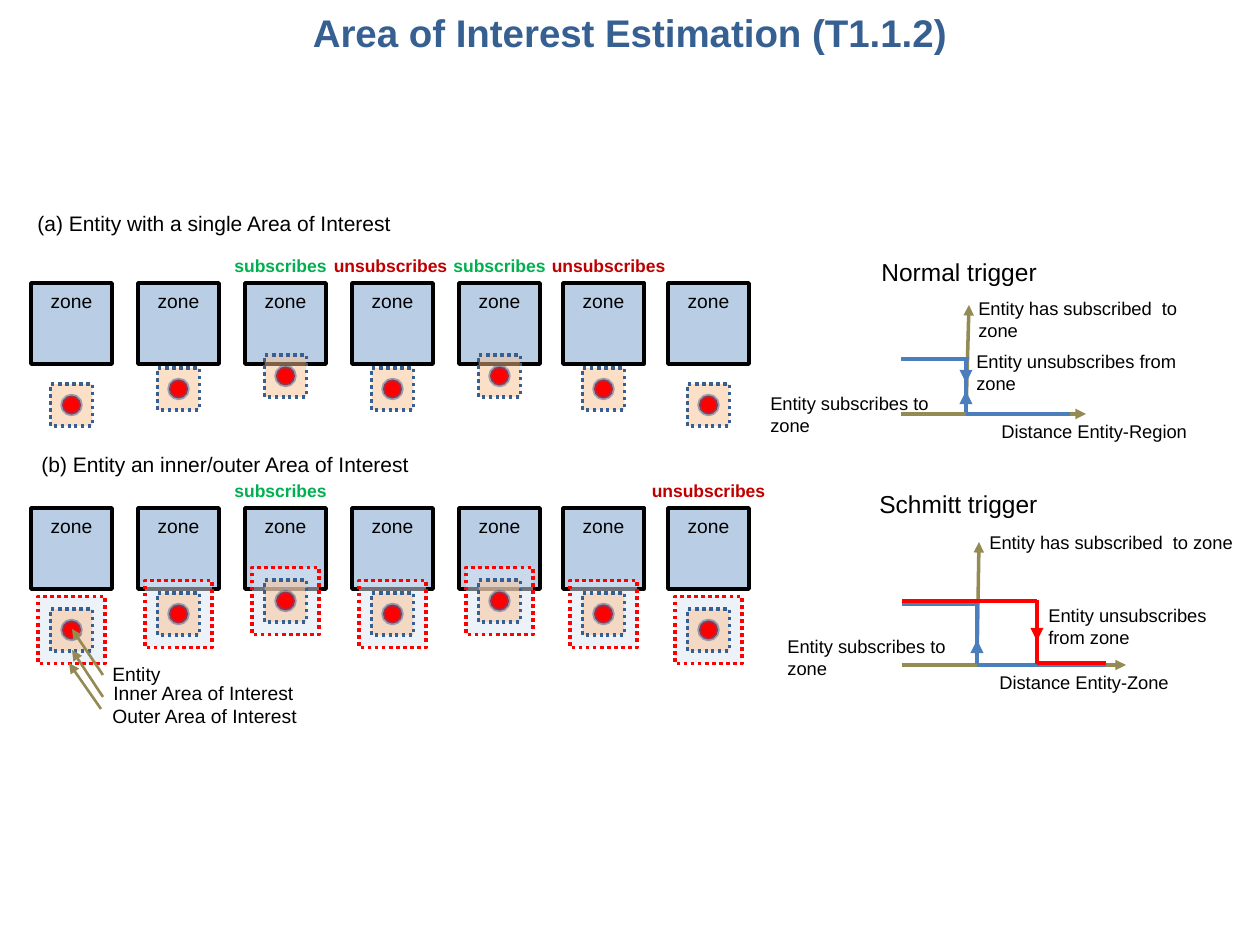
from lxml import etree
from pptx import Presentation
from pptx.dml.color import RGBColor
from pptx.enum.dml import MSO_LINE
from pptx.enum.shapes import MSO_CONNECTOR, MSO_SHAPE
from pptx.enum.text import MSO_ANCHOR, PP_ALIGN
from pptx.oxml.ns import qn
from pptx.util import Pt

EMU_PER_PIXEL = 914400 / 126
FONT = "Arial"
RECTANGLE, OVAL = MSO_SHAPE.RECTANGLE, MSO_SHAPE.OVAL
STRAIGHT = MSO_CONNECTOR.STRAIGHT
DOTTED = MSO_LINE.ROUND_DOT
LEFT, CENTER = PP_ALIGN.LEFT, PP_ALIGN.CENTER
TOP, MIDDLE = MSO_ANCHOR.TOP, MSO_ANCHOR.MIDDLE
BLACK, RED, NAVY, OLIVE, BLUE = "000000", "FF0000", "376092", "948A54", "4B7EBC"
GREEN, DARK_RED = "00B050", "C00000"
ZONE_FILL, INNER_FILL, OUTER_FILL = "B9CDE5", "FAC090", "DCE6F2"

ZONE_SIZE, OUTER_SIZE, INNER_SIZE, ENTITY_SIZE = 81, 67, 42, 19
ZONE_LEFTS = [0, 107, 214, 321, 428, 532, 637]
ENTITY_DEPTHS = [122, 106, 93, 106, 93, 106, 122]


def px(length):
    return round(length * EMU_PER_PIXEL)


def color(value):
    return RGBColor.from_string(value)


def make_transparent(color_format_parent):
    for node in color_format_parent.iter(qn("a:srgbClr")):
        etree.SubElement(node, qn("a:alpha"), val="50000")


def write(frame, text, size, text_color=BLACK, align=LEFT, bold=False):
    paragraph = frame.paragraphs[0]
    paragraph.alignment = align
    run = paragraph.add_run()
    run.text = text
    run.font.name = FONT
    run.font.size = Pt(size)
    run.font.bold = bold
    run.font.color.rgb = color(text_color)


def add_text(parent, box, text, size, text_color=BLACK, align=LEFT, bold=False,
             anchor=TOP, side_margin=12.6):
    shape = parent.shapes.add_textbox(*map(px, box))
    frame = shape.text_frame
    frame.word_wrap = True
    frame.vertical_anchor = anchor
    frame.margin_left = frame.margin_right = px(side_margin)
    write(frame, text, size, text_color, align, bold)


def add_line(parent, start, end, line_color, width, arrow=False):
    connector = parent.shapes.add_connector(STRAIGHT, *map(px, (*start, *end)))
    connector.line.color.rgb = color(line_color)
    connector.line.width = Pt(width)
    properties = connector.element.spPr
    if arrow:
        etree.SubElement(properties.find(qn("a:ln")), qn("a:tailEnd"), type="triangle")
    etree.SubElement(properties, qn("a:effectLst"))


def add_centered(slide, kind, center, size, fill, line_color):
    x, y = center
    shape = slide.shapes.add_shape(
        kind, px(x - size / 2), px(y - size / 2), px(size), px(size))
    shape.shadow.inherit = False
    shape.fill.solid()
    shape.fill.fore_color.rgb = color(fill)
    shape.line.color.rgb = color(line_color)
    shape.line.width = Pt(2)
    return shape


def add_area(slide, center, size, fill, line_color):
    area = add_centered(slide, RECTANGLE, center, size, fill, line_color)
    area.line.dash_style = DOTTED
    make_transparent(area.element.spPr.find(qn("a:solidFill")))


def add_zone_row(slide, left, top, has_outer, labels):
    centers = [left + offset + ZONE_SIZE / 2 for offset in ZONE_LEFTS]
    for x in centers:
        zone = add_centered(slide, RECTANGLE, (x, top + ZONE_SIZE / 2),
                            ZONE_SIZE, ZONE_FILL, BLACK)
        zone.text_frame.vertical_anchor = TOP
        write(zone.text_frame, "zone", 11, align=CENTER)
    for x, depth in zip(centers, ENTITY_DEPTHS):
        center = (x, top + depth)
        if has_outer:
            add_area(slide, center, OUTER_SIZE, OUTER_FILL, RED)
        add_area(slide, center, INNER_SIZE, INNER_FILL, NAVY)
        entity = add_centered(slide, OVAL, center, ENTITY_SIZE, RED, NAVY)
        make_transparent(entity.element.spPr.find(qn("a:ln")))
    for offset, text in labels:
        label_color = GREEN if text == "subscribes" else DARK_RED
        add_text(slide, (left + offset, top - 34, 139, 35), text, 10, label_color,
                 CENTER, True, side_margin=0)


def add_legend(slide, left, top):
    entries = [
        ("Entity", (34, 46), (3, 0), (31, 27, 98, 32)),
        ("Inner Area of Interest", (34, 68), (3, 21), (32, 46, 224, 32)),
        ("Outer Area of Interest", (32, 80), (0, 34), (31, 69, 223, 32)),
    ]
    for text, start, end, (x, y, width, height) in entries:
        add_line(slide, (left + start[0], top + start[1]),
                 (left + end[0], top + end[1]), OLIVE, 1.5, True)
        add_text(slide, (left + x, top + y, width, height), text, 11)


def add_trigger(slide, left, top, title, title_box, axes, curves, arrows, captions):
    group = slide.shapes.add_group_shape()
    segments = [(OLIVE, 2, True, axis) for axis in axes]
    segments += [(line_color, 2.5, False, ends) for line_color, *ends in curves]
    segments += [(line_color, 2.5, True, ends) for line_color, *ends in arrows]
    for line_color, width, arrow, ends in segments:
        start, end = [(left + x, top + y) for x, y in ends]
        add_line(group, start, end, line_color, width, arrow)
    texts = [(text, 10.5, box) for text, box in captions] + [(title, 14, title_box)]
    for text, size, (x, y, width, height) in texts:
        add_text(group, (left + x, top + y, width, height), text, size)


presentation = Presentation()
presentation.slide_width = px(1260)
presentation.slide_height = px(945)
slide = presentation.slides.add_slide(presentation.slide_layouts[6])

add_text(slide, (0, 0, 1260, 65), "Area of Interest Estimation (T1.1.2)", 22, NAVY,
         CENTER, True, MIDDLE)
add_text(slide, (25, 204, 500, 62), "(a) Entity with a single Area of Interest", 12)
add_zone_row(slide, 31, 283, False, [
    (180, "subscribes"), (290, "unsubscribes"),
    (399, "subscribes"), (508, "unsubscribes")])
add_text(slide, (29, 445, 500, 38), "(b) Entity an inner/outer Area of Interest", 12)
add_zone_row(slide, 31, 508, True, [(180, "subscribes"), (608, "unsubscribes")])
add_legend(slide, 69, 629)

add_trigger(
    slide, 758, 250, "Normal trigger", (111, 1, 301, 38),
    axes=[((208, 164), (211, 55)), ((143, 164), (328, 164))],
    curves=[
        (BLUE, (143, 109), (211, 109)),
        (BLUE, (208, 164), (312, 164)),
        (BLUE, (208, 162), (208, 122)),
    ],
    arrows=[(BLUE, (208, 110), (208, 133)), (BLUE, (208, 158), (208, 141))],
    captions=[
        ("Entity has subscribed  to zone", (208, 41, 262, 57)),
        ("Distance Entity-Region", (231, 164, 220, 30)),
        ("Entity subscribes to zone", (0, 136, 202, 57)),
        ("Entity unsubscribes from zone", (206, 94, 253, 57)),
    ])
add_trigger(
    slide, 775, 482, "Schmitt trigger", (92, 1, 390, 43),
    axes=[((202, 183), (204, 60)), ((127, 183), (351, 183))],
    curves=[
        (BLUE, (127, 122), (204, 122)),
        (BLUE, (202, 183), (331, 183)),
        (BLUE, (202, 182), (202, 122)),
        (RED, (127, 119), (262, 119)),
        (RED, (262, 182), (262, 118)),
        (RED, (331, 181), (262, 181)),
    ],
    arrows=[(BLUE, (202, 180), (202, 158)), (RED, (262, 139), (262, 159))],
    captions=[
        ("Entity has subscribed  to zone", (202, 43, 273, 35)),
        ("Entity subscribes to zone", (0, 147, 185, 57)),
        ("Entity unsubscribes from zone", (261, 116, 193, 57)),
        ("Distance Entity-Zone", (212, 183, 223, 35)),
    ])

presentation.save("out.pptx")
